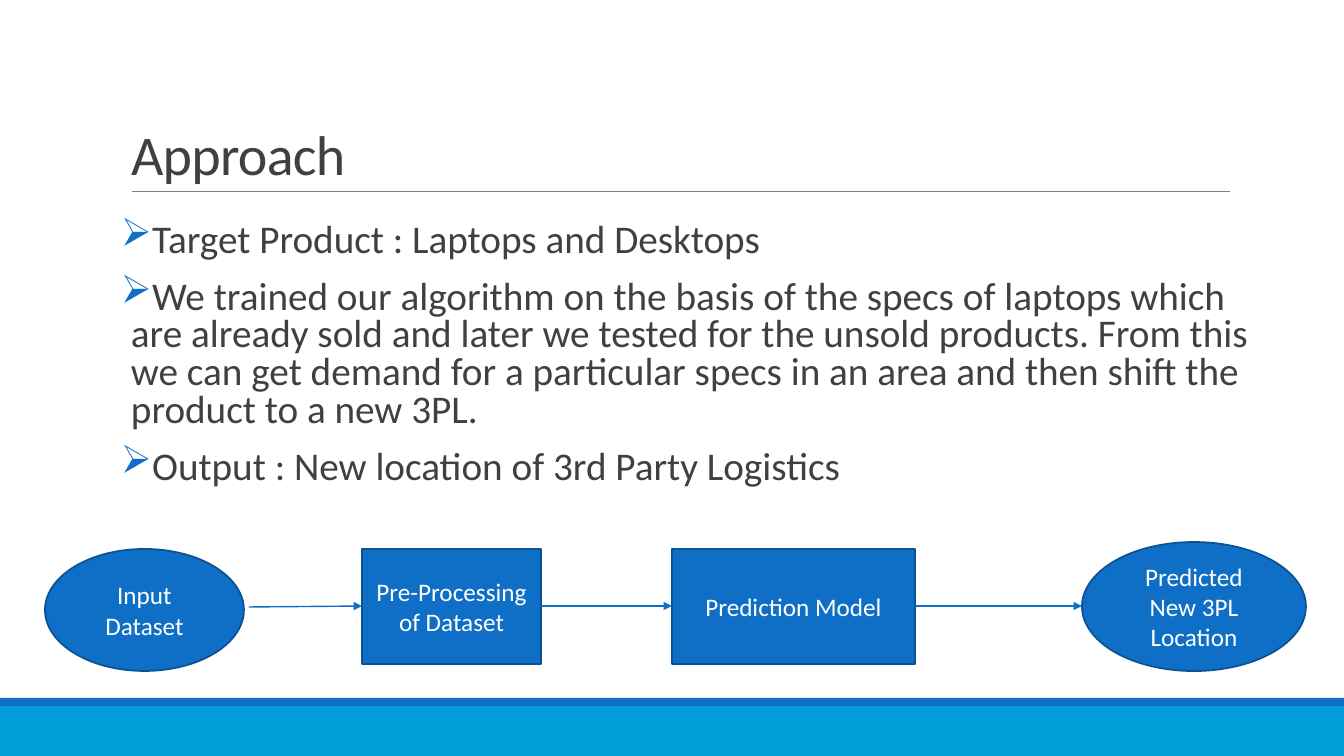
from lxml import etree
from pptx import Presentation
from pptx.dml.color import RGBColor
from pptx.enum.shapes import MSO_CONNECTOR, MSO_SHAPE
from pptx.enum.text import MSO_ANCHOR, MSO_AUTO_SIZE, PP_ALIGN
from pptx.oxml.ns import qn
from pptx.util import Pt

RECT, OVAL = MSO_SHAPE.RECTANGLE, MSO_SHAPE.OVAL
STRAIGHT = MSO_CONNECTOR.STRAIGHT
TOP, MIDDLE, BOTTOM = MSO_ANCHOR.TOP, MSO_ANCHOR.MIDDLE, MSO_ANCHOR.BOTTOM
LEFT, CENTER = PP_ALIGN.LEFT, PP_ALIGN.CENTER
NO_FIT = MSO_AUTO_SIZE.NONE
BLUE, EDGE, CYAN, DARK, GRAY, WHITE = "0F6FC6", "0B5292", "009DD9", "404040", "808080", "FFFFFF"
SCALE = 914400 / 100.8


def px(*lengths):
    return [round(n * SCALE) for n in lengths]


def paint(color, hex_color):
    color.rgb = RGBColor.from_string(hex_color)


prs = Presentation()
prs.slide_width, prs.slide_height = px(1344, 756)
s = prs.slides.add_slide(prs.slide_layouts[5])

for top, height, color in [(706, 50, CYAN), (698, 8, BLUE)]:
    sp = s.shapes.add_shape(RECT, *px(0, top, 1344, height))
    sp.shadow.inherit = False
    sp.fill.solid()
    paint(sp.fill.fore_color, color)
    sp.line.fill.background()

title = s.shapes.title
title.left, title.top, title.width, title.height = px(121, 80, 1109, 112)
tf = title.text_frame
tf.auto_size = NO_FIT
tf.word_wrap = True
tf.vertical_anchor = BOTTOM
p = tf.paragraphs[0]
p.alignment = LEFT
p.line_spacing = 0.85
r = p.add_run()
r.text = "Approach"
r.font.name, r.font.size = "Calibri", Pt(40)
paint(r.font.color, DARK)
r.font._element.set("spc", "-50")

points = [
    "Target Product : Laptops and Desktops",
    "We trained our algorithm on the basis of the specs of laptops which are already sold "
    "and later we tested for the unsold products. From this we can get demand for a "
    "particular specs in an area and then shift the product to a new 3PL.",
    "Output : New location of 3rd Party Logistics",
]
tf = s.shapes.add_textbox(*px(121, 218, 1159, 292)).text_frame
tf.word_wrap = True
tf.vertical_anchor = TOP
tf.margin_left = tf.margin_right = 0
indent, = px(10)
for i, point in enumerate(points):
    p = tf.add_paragraph() if i else tf.paragraphs[0]
    p.line_spacing, p.space_before, p.space_after = 0.8, Pt(12), Pt(2)
    pPr = p._p.get_or_add_pPr()
    pPr.set("marL", str(indent))
    pPr.set("indent", str(-indent))
    buClr = etree.SubElement(pPr, qn("a:buClr"))
    etree.SubElement(buClr, qn("a:srgbClr"), val=BLUE)
    etree.SubElement(pPr, qn("a:buChar"), char="➢")
    r = p.add_run()
    r.text = point
    r.font.name, r.font.size = "Calibri", Pt(28)
    paint(r.font.color, DARK)

steps = [
    (OVAL, 45, 549, 199, 122, "Input Dataset"),
    (RECT, 362, 549, 179, 115, "Pre-Processing of Dataset"),
    (RECT, 672, 549, 243, 115, "Prediction Model"),
    (OVAL, 1082, 542, 224, 129, "Predicted New 3PL Location"),
]
for kind, left, top, width, height, label in steps:
    sp = s.shapes.add_shape(kind, *px(left, top, width, height))
    sp.shadow.inherit = False
    sp.fill.solid()
    paint(sp.fill.fore_color, BLUE)
    paint(sp.line.color, EDGE)
    sp.line.width = Pt(1.25)
    tf = sp.text_frame
    tf.word_wrap = True
    tf.vertical_anchor = MIDDLE
    p = tf.paragraphs[0]
    p.alignment = CENTER
    r = p.add_run()
    r.text = label
    r.font.name, r.font.size = "Calibri", Pt(18)
    paint(r.font.color, WHITE)

lines = [
    (132, 191, 1230, 191, GRAY, 0.5, False),
    (249, 607, 362, 606, BLUE, 1, True),
    (541, 606, 672, 606, BLUE, 1, True),
    (915, 606, 1082, 606, BLUE, 1, True),
]
for x1, y1, x2, y2, color, weight, arrow in lines:
    line = s.shapes.add_connector(STRAIGHT, *px(x1, y1, x2, y2))
    paint(line.line.color, color)
    line.line.width = Pt(weight)
    if arrow:
        etree.SubElement(line.line._get_or_add_ln(), qn("a:tailEnd"), type="triangle")
    etree.SubElement(line._element.spPr, qn("a:effectLst"))

prs.save("out.pptx")
